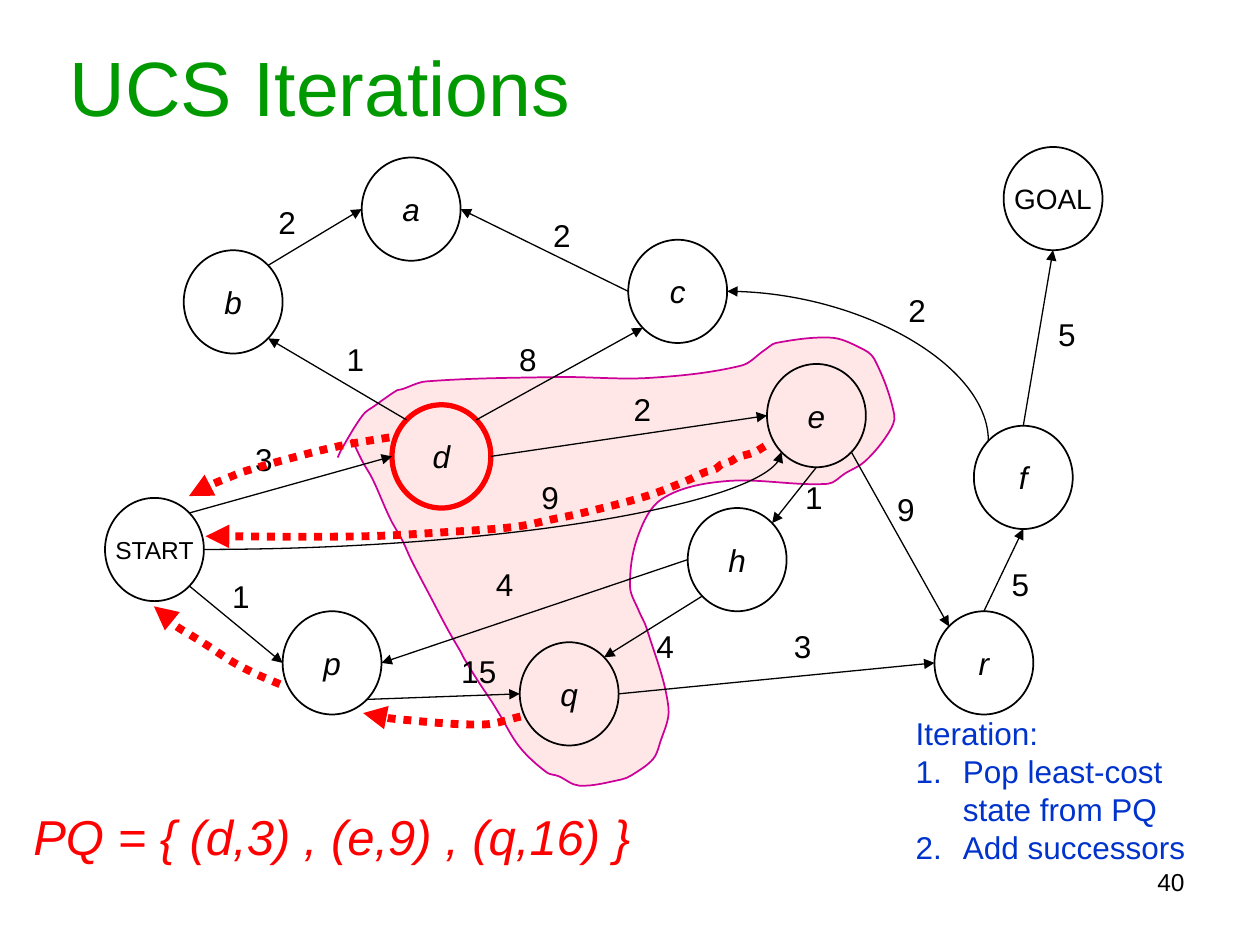
from math import dist, sqrt

from pptx import Presentation
from pptx.dml.color import RGBColor
from pptx.enum.dml import MSO_LINE_DASH_STYLE as Dash
from pptx.enum.shapes import MSO_CONNECTOR as Connector, MSO_SHAPE as Shape
from pptx.enum.text import MSO_ANCHOR as Anchor, MSO_AUTO_SIZE as AutoSize, PP_ALIGN as Align
from pptx.oxml.ns import qn
from pptx.oxml.xmlchemy import OxmlElement
from pptx.util import Pt

BLACK, RED = RGBColor(0, 0, 0), RGBColor(0xFF, 0, 0)
GREEN, BLUE = RGBColor(0, 0x99, 0), RGBColor(0, 0x33, 0xCC)
PINK, MAGENTA = RGBColor(0xFF, 0xE7, 0xE7), RGBColor(0xCC, 0, 0x99)

NODE_WIDTH, NODE_HEIGHT = 56.5, 59
DIAGONAL = sqrt(0.5)
COMPASS = {
    "N": (0, -1), "S": (0, 1), "W": (-1, 0), "E": (1, 0),
    "NW": (-DIAGONAL, -DIAGONAL), "NE": (DIAGONAL, -DIAGONAL),
    "SW": (-DIAGONAL, DIAGONAL), "SE": (DIAGONAL, DIAGONAL),
}
NODES = {
    "START": (60, 284.5), "GOAL": (573.5, 84), "d": (224, 231.3), "b": (105, 143),
    "p": (161.5, 349.3), "q": (297, 367), "c": (359, 137), "e": (438.3, 208),
    "h": (393, 290.3), "a": (206.7, 90), "f": (556.5, 243.3), "r": (534, 349.3),
}
NAME_SIZES = {"START": 14, "GOAL": 16}

# from, side, to, side, cost, left and top of the cost label
EDGES = [
    ("START", "SE", "p", "W", "1", 125.5, 326), ("p", "SE", "q", "W", "15", 256.5, 369.3),
    ("h", "SW", "q", "NE", "4", 368, 355), ("h", "W", "p", "E", "4", 276.3, 319.3),
    ("e", "S", "h", "NE", "1", 453, 269.5), ("e", "SE", "r", "NW", "9", 505.5, 276.5),
    ("r", "N", "f", "S", "5", 571, 319.3), ("f", "N", "GOAL", "S", "5", 597.5, 176.5),
    ("START", "NE", "d", "W", "3", 138.7, 248), ("d", "NW", "b", "SE", "1", 191, 191),
    ("b", "NE", "a", "W", "2", 152, 112.5), ("c", "W", "a", "E", "2", 309, 120),
    ("d", "NE", "c", "SW", "8", 289.5, 191), ("d", "E", "e", "W", "2", 355, 219.5),
    ("q", "E", "r", "W", "3", 446.5, 355), ("f", "NW", "c", "E", "2", 512, 163),
    ("START", "E", "e", "SW", "9", 302.3, 269.5),
]
CURVED = {("f", "c"), ("START", "e")}

FRONTIER = [
    (201, 251), (207, 263.5), (213, 274), (223, 296.5), (230, 309), (235, 320), (247, 343),
    (256, 360), (263.5, 373), (265, 376), (273, 389), (281, 401), (285, 407.5), (297, 427),
    (312.5, 441.5), (319, 443.5), (331, 449), (355, 445.5), (361, 443), (373, 434), (377, 425),
    (382, 404.5), (369.5, 359), (365, 349), (360, 335), (364.5, 306.5), (378.5, 285),
    (414.5, 275), (473, 276.5), (483, 270.5), (494.5, 263.5), (508, 247), (511, 237),
    (499.5, 205), (491, 198.5), (475, 193), (443.5, 196), (437, 200), (423.5, 209),
    (371, 216), (319, 215.5), (243.5, 218), (229.5, 222.5), (227, 223), (214, 232),
    (207.5, 237), (195, 257), (193, 261.5),
]
BACK_POINTERS = [
    [(160, 391), (146, 385), (132.5, 378), (119.5, 369.5), (107.5, 362),
     (101, 358), (98.5, 355), (92, 351.5), (88, 346.5)],
    [(437, 255), (431, 258.5), (421, 261.5), (418, 263.5), (412, 265.5), (409, 268),
     (402.5, 270), (393, 274.5), (369.5, 283.5), (333.5, 293), (317, 296.5),
     (295, 301), (256.5, 304), (207.5, 306.5), (117.5, 306.5)],
    [(222.5, 250), (198.5, 254), (177, 259), (141, 269), (130.5, 273),
     (117.5, 278.5), (114.5, 281), (111, 281.5), (108, 283.5)],
    [(297.5, 409.5), (276.5, 414), (227.5, 411), (207.5, 407.5)],
]


def curve_points(points):
    """Return two control points and an end point for each curve through the points."""
    padded = [points[0], *points, points[-1]]
    path = []
    for before, start, end, after in zip(padded, padded[1:], padded[2:], padded[3:]):
        third = dist(start, end) / 3
        leave, arrive = third / dist(before, end), third / dist(start, after)
        path.append(tuple(s + (e - b) * leave for b, s, e in zip(before, start, end)))
        path.append(tuple(e - (a - s) * arrive for s, e, a in zip(start, end, after)))
        path.append(end)
    return path


def side_point(name, side):
    left, top = NODES[name]
    dx, dy = COMPASS[side]
    return left + NODE_WIDTH / 2 * (1 + dx), top + NODE_HEIGHT / 2 * (1 + dy)


class GraphPage:
    def __init__(self, page, font="Arial"):
        self.page, self.shapes, self.font = page, page.shapes, font

    def style(self, paragraph, size, color=BLACK, italic=False):
        font = paragraph.font
        font.name, font.size, font.italic = self.font, Pt(size), italic
        font.color.rgb = color

    def outline(self, shape, color, width, arrow=False):
        shape.line.color.rgb, shape.line.width = color, Pt(width)
        if arrow:
            tail = OxmlElement("a:tailEnd")
            tail.set("type", "triangle")
            shape._element.spPr.find(qn("a:ln")).append(tail)

    def placeholder(self, index, text, *area):
        box = self.page.placeholders[index]
        box.left, box.top, box.width, box.height = map(Pt, area)
        box.text_frame.text, box.text_frame.auto_size = text, AutoSize.NONE
        return box.text_frame

    def title(self, text, *area):
        frame = self.placeholder(0, text, *area)
        frame.vertical_anchor = Anchor.MIDDLE
        frame.paragraphs[0].alignment = Align.CENTER
        self.style(frame.paragraphs[0], 44, GREEN)

    def steps(self, heading, items, *area):
        frame = self.placeholder(1, "\n".join([heading, *items]), *area)
        for index, paragraph in enumerate(frame.paragraphs):
            paragraph.space_before = Pt(0)
            properties = paragraph._p.get_or_add_pPr()
            properties.set("marL", str(Pt(27)))
            properties.set("indent", str(Pt(-27)))
            bullet = OxmlElement("a:buAutoNum" if index else "a:buNone")
            if index:
                bullet.set("type", "arabicPeriod")
            properties.append(bullet)
            self.style(paragraph, 18, BLUE)

    def text(self, text, *area, size=18, color=BLACK, italic=False, align=Align.LEFT):
        frame = self.shapes.add_textbox(*map(Pt, area)).text_frame
        frame.word_wrap, frame.text = True, text
        frame.paragraphs[0].alignment = align
        self.style(frame.paragraphs[0], size, color, italic)

    def node(self, name, current=False):
        area = map(Pt, (*NODES[name], NODE_WIDTH, NODE_HEIGHT))
        circle = self.shapes.add_shape(Shape.FLOWCHART_CONNECTOR, *area)
        circle.shadow.inherit = False
        circle.fill.background()
        self.outline(circle, RED if current else BLACK, 3 if current else 1)
        frame = circle.text_frame
        frame.text, frame.word_wrap, frame.vertical_anchor = name, False, Anchor.MIDDLE
        frame.paragraphs[0].alignment = Align.CENTER
        self.style(frame.paragraphs[0], NAME_SIZES.get(name, 18), italic=name not in NAME_SIZES)

    def edge(self, start, end, curved=False, upward=False):
        """Draw an arrow; an upward curve leaves its start vertically."""
        if upward:
            x, y = (start[0] + end[0]) / 2, (start[1] + end[1]) / 2
            half_x, half_y = abs(start[1] - end[1]) / 2, abs(start[0] - end[0]) / 2
            start, end = (x - half_x, y + half_y), (x + half_x, y - half_y)
        kind = Connector.CURVE if curved else Connector.STRAIGHT
        line = self.shapes.add_connector(kind, *map(Pt, (*start, *end)))
        properties = line._element.spPr
        if curved:
            properties.find(qn("a:prstGeom")).set("prst", "curvedConnector2")
        if upward:
            properties.find(qn("a:xfrm")).set("rot", str(270 * 60000))
        self.outline(line, BLACK, 0.75, arrow=True)
        properties.append(OxmlElement("a:effectLst"))

    def curve(self, points):
        """Build a freeform and turn each three of its segments into one cubic curve."""
        builder = self.shapes.build_freeform(*map(Pt, points[0]))
        builder.add_line_segments([tuple(map(Pt, p)) for p in curve_points(points)], close=False)
        shape = builder.convert_to_shape()
        shape.shadow.inherit = False
        segments = list(shape._element.iter(qn("a:lnTo")))
        for first in range(0, len(segments), 3):
            cubic = OxmlElement("a:cubicBezTo")
            segments[first].addprevious(cubic)
            for segment in segments[first:first + 3]:
                cubic.append(segment[0])
                segment.getparent().remove(segment)
        return shape

    def region(self, points):
        shape = self.curve(points)
        shape.fill.solid()
        shape.fill.fore_color.rgb = PINK
        self.outline(shape, MAGENTA, 1)

    def back_pointer(self, points):
        shape = self.curve(points)
        shape.fill.background()
        shape.line.dash_style = Dash.ROUND_DOT
        self.outline(shape, RED, 4.5, arrow=True)


deck = Presentation()
deck.slide_width, deck.slide_height = Pt(720), Pt(540)
graph = GraphPage(deck.slides.add_slide(deck.slide_layouts[1]))
graph.title("UCS Iterations", 12, 12, 342, 74)
graph.steps("Iteration:", ["Pop least-cost state from PQ", "Add successors"], 516, 404.5, 192, 94)
graph.region(FRONTIER)
graph.text("PQ = { (d,3) , (e,9) , (q,16) }", 12, 457.3, 444, 41, size=28, color=RED, italic=True)
for name in NODES:
    graph.node(name, current=name == "d")
for source, out_side, target, in_side, cost, left, top in EDGES:
    graph.edge(side_point(source, out_side), side_point(target, in_side),
               curved=(source, target) in CURVED, upward=(source, target) == ("f", "c"))
    graph.text(cost, left, top, 13 + 13 * len(cost), 29)
for pointer in BACK_POINTERS:
    graph.back_pointer(pointer)
graph.text("40", 348, 492, 336, 37, size=14, align=Align.RIGHT)
deck.save("out.pptx")
